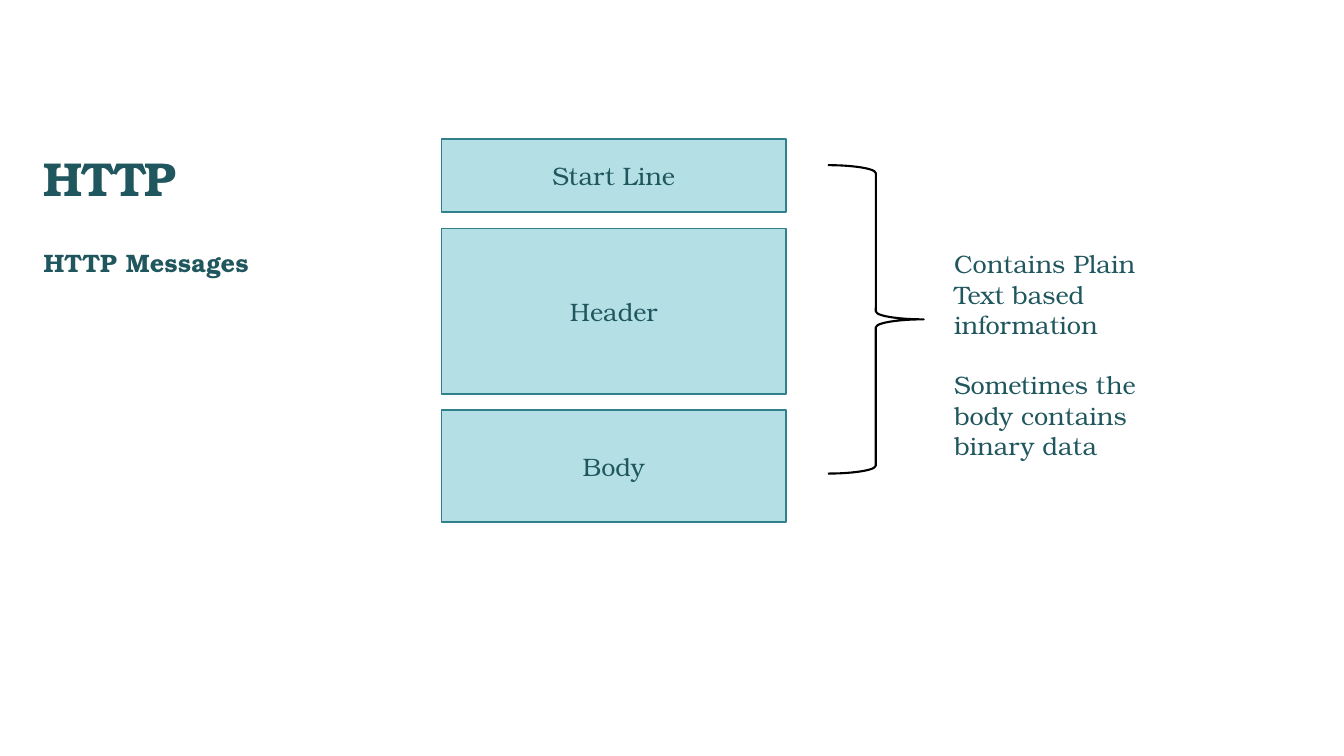
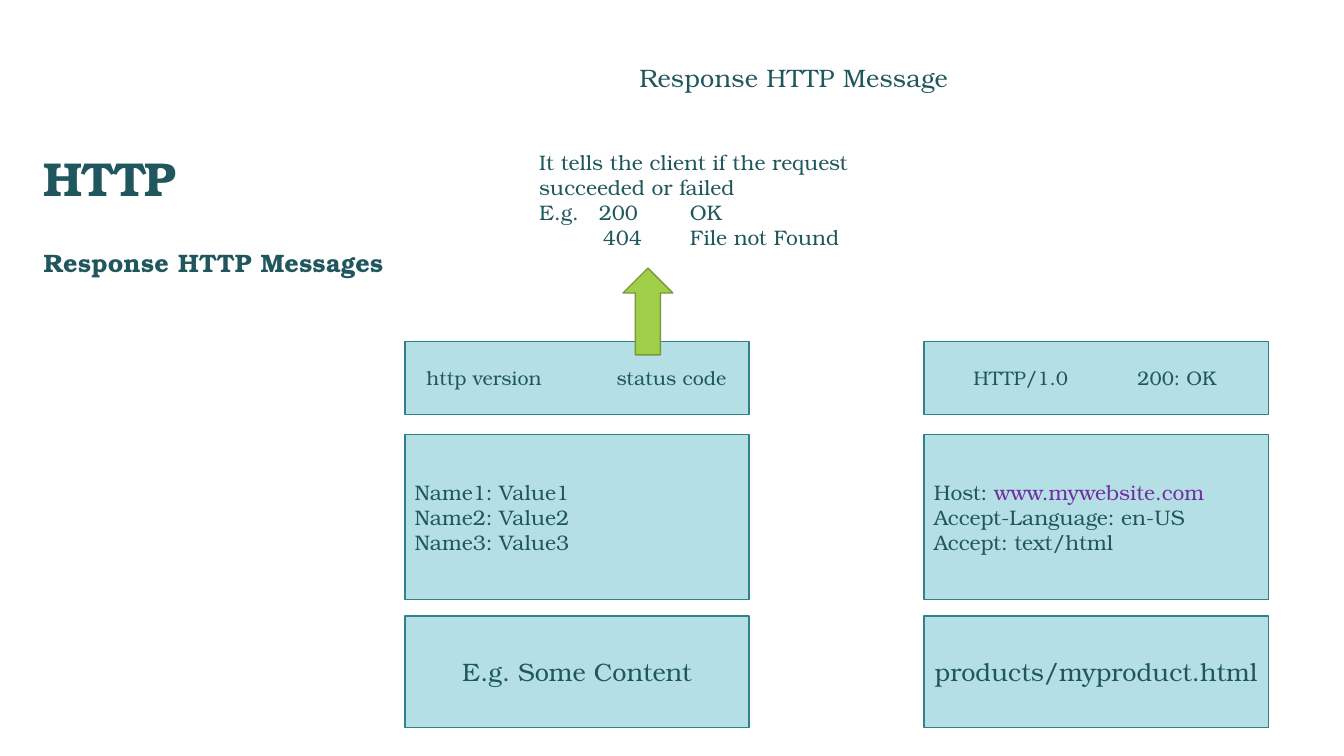
from dataclasses import dataclass
from typing import Any, Optional

import lxml.etree
import pptx
import pptx.dml.color
import pptx.enum.shapes
import pptx.enum.text
import pptx.oxml.ns
import pptx.util

Pt = pptx.util.Pt
Align = pptx.enum.text.PP_ALIGN
Anchor = pptx.enum.text.MSO_ANCHOR
ShapeKind = pptx.enum.shapes.MSO_SHAPE

FONT = "TeX Gyre Bonum"
TEAL = "20575E"
PALE_TEAL = "B3DFE5"
TEAL_EDGE = "30818C"
PURPLE = "7030A0"
GREEN = "A2CF49"
GREEN_EDGE = "789936"
BLACK = "000000"

MESSAGE_WIDTH = 246
PART_HEIGHTS = (52, 118, 80)
BODY_GAP = 11.6


@dataclass(frozen=True)
class Box:
    left: float
    top: float
    width: float
    height: float

    def lengths(self) -> tuple[Any, ...]:
        return Pt(self.left), Pt(self.top), Pt(self.width), Pt(self.height)


@dataclass(frozen=True)
class Style:
    size: float = 18
    bold: bool = False
    tracking: float = 0
    line_spacing: Optional[float] = None
    align: Any = Align.LEFT
    anchor: Any = Anchor.TOP


@dataclass(frozen=True)
class Piece:
    text: str
    color: str = TEAL


@dataclass(frozen=True)
class Line:
    pieces: tuple[Piece, ...]
    tabs: tuple[float, ...] = ()
    space_before: float = 0


@dataclass(frozen=True)
class Part:
    lines: tuple[Line, ...]
    style: Style


TITLE = Style(34, True, -1, 0.9, anchor=Anchor.BOTTOM)
SUBTITLE = Style(18, True, 0.2, 0.9)
HEADING = Style(18, False, 0.2, 0.9, Align.CENTER, Anchor.MIDDLE)
NOTE = Style(18)
SMALL_NOTE = Style(15)
LABEL = Style(18, align=Align.CENTER, anchor=Anchor.MIDDLE)
START_LINE = Style(14, anchor=Anchor.MIDDLE)
FIELDS = Style(15, anchor=Anchor.MIDDLE)

TITLE_BOX = Box(24, 25, 240, 126)
SUBTITLE_BOX = Box(24, 175.7, 287, 47)


def rgb(color: str) -> pptx.dml.color.RGBColor:
    return pptx.dml.color.RGBColor.from_string(color)


def line(text: str, tabs: tuple[float, ...] = (), space_before: float = 0) -> Line:
    return Line((Piece(text),), tabs, space_before)


def label(text: str) -> Part:
    return Part((line(text),), LABEL)


def set_tabs(paragraph: Any, positions: tuple[float, ...]) -> None:
    properties = paragraph._p.get_or_add_pPr()
    tab_list = lxml.etree.SubElement(properties, pptx.oxml.ns.qn("a:tabLst"))
    for position in positions:
        tab = lxml.etree.SubElement(tab_list, pptx.oxml.ns.qn("a:tab"))
        tab.set("pos", str(int(Pt(position))))
        tab.set("algn", "l")


def write_text(shape: Any, lines: tuple[Line, ...], style: Style) -> None:
    frame = shape.text_frame
    frame.word_wrap = True
    frame.vertical_anchor = style.anchor
    for index, item in enumerate(lines):
        paragraph = frame.add_paragraph() if index else frame.paragraphs[0]
        if item.tabs:
            set_tabs(paragraph, item.tabs)
        paragraph.alignment = style.align
        if style.line_spacing:
            paragraph.line_spacing = style.line_spacing
        if item.space_before:
            paragraph.space_before = Pt(item.space_before)
        for piece in item.pieces:
            run = paragraph.add_run()
            run.text = piece.text
            run.font.name = FONT
            run.font.size = Pt(style.size)
            run.font.bold = style.bold
            run.font.color.rgb = rgb(piece.color)
            if style.tracking:
                run._r.get_or_add_rPr().set("spc", str(round(style.tracking * 100)))


def add_text(slide: Any, box: Box, lines: tuple[Line, ...], style: Style) -> None:
    write_text(slide.shapes.add_textbox(*box.lengths()), lines, style)


def add_shape(
    slide: Any, kind: Any, box: Box, fill: Optional[str], edge: str, weight: float = 1
) -> Any:
    shape = slide.shapes.add_shape(kind, *box.lengths())
    shape.shadow.inherit = False
    if fill:
        shape.fill.solid()
        shape.fill.fore_color.rgb = rgb(fill)
    else:
        shape.fill.background()
    shape.line.color.rgb = rgb(edge)
    shape.line.width = Pt(weight)
    return shape


def add_message(
    slide: Any, left: float, top: float, header_gap: float, parts: tuple[Part, ...]
) -> None:
    for part, height, gap in zip(parts, PART_HEIGHTS, (header_gap, BODY_GAP, 0)):
        box = Box(left, top, MESSAGE_WIDTH, height)
        shape = add_shape(slide, ShapeKind.RECTANGLE, box, PALE_TEAL, TEAL_EDGE)
        write_text(shape, part.lines, part.style)
        top += height + gap


def add_titled_slide(presentation: Any, subtitle: str) -> Any:
    slide = presentation.slides.add_slide(presentation.slide_layouts[6])
    add_text(slide, TITLE_BOX, (line("HTTP"),), TITLE)
    add_text(slide, SUBTITLE_BOX, (line(subtitle),), SUBTITLE)
    return slide


def build_messages_slide(presentation: Any) -> None:
    slide = add_titled_slide(presentation, "HTTP Messages")
    parts = (label("Start Line"), label("Header"), label("Body"))
    add_message(slide, 315.4, 99.4, 12, parts)
    remarks = (
        line("Contains Plain Text based information"),
        line("Sometimes the body contains binary data", space_before=21.6),
    )
    add_text(slide, Box(674.4, 174.2, 176, 160), remarks, NOTE)
    brace = Box(591.4, 118, 68.4, 220.3)
    add_shape(slide, ShapeKind.RIGHT_BRACE, brace, None, BLACK, 1.5)


def build_response_slide(presentation: Any) -> None:
    slide = add_titled_slide(presentation, "Response HTTP Messages")
    structure = (
        Part((line("\thttp version\tstatus code", (8.4, 144.1)),), START_LINE),
        Part(tuple(line(f"Name{n}: Value{n}") for n in range(1, 4)), FIELDS),
        label("E.g. Some Content"),
    )
    host = Line((Piece("Host: "), Piece("www.mywebsite.com", PURPLE)))
    example = (
        Part((line("\tHTTP/1.0\t200: OK", (28.3, 145.4)),), START_LINE),
        Part((host, line("Accept-Language: en-US"), line("Accept: text/html")), FIELDS),
        label("products/myproduct.html"),
    )
    for left, parts in ((289.2, structure), (660, example)):
        add_message(slide, left, 244.1, 14.2, parts)
    add_text(slide, Box(442, 39, 250, 35), (line("Response HTTP Message"),), HEADING)
    status_note = (
        line("It tells the client if the request succeeded or failed"),
        line("E.g.\t200\tOK", (42.7, 107.7)),
        line("\t404\tFile not Found", (45.5, 107.7)),
    )
    add_text(slide, Box(378, 103, 249, 80), status_note, SMALL_NOTE)
    arrow = Box(445, 191.5, 35.6, 62)
    add_shape(slide, ShapeKind.UP_ARROW, arrow, GREEN, GREEN_EDGE)


def main() -> None:
    presentation = pptx.Presentation()
    presentation.slide_width = Pt(960)
    presentation.slide_height = Pt(540)
    build_messages_slide(presentation)
    build_response_slide(presentation)
    presentation.save("out.pptx")


if __name__ == "__main__":
    main()
